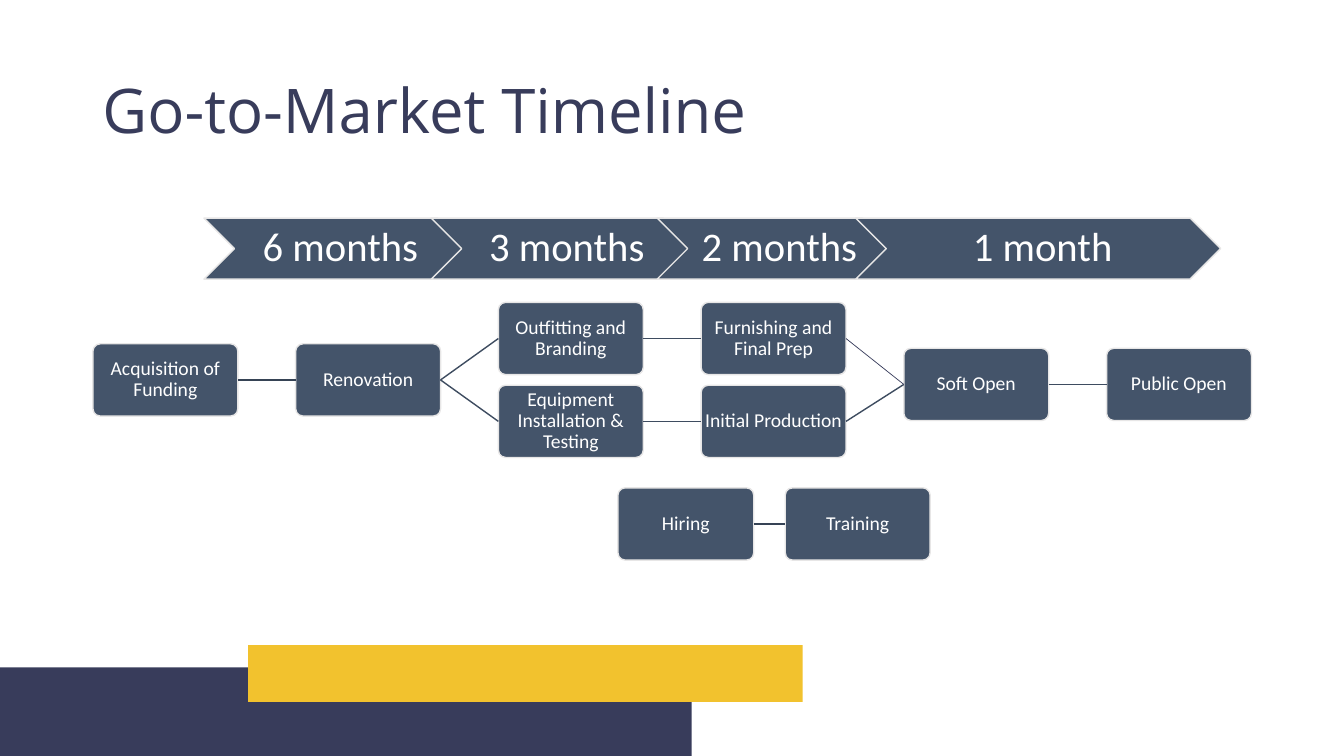
from lxml.etree import SubElement
from pptx import Presentation
from pptx.dml.color import RGBColor
from pptx.enum.shapes import MSO_CONNECTOR, MSO_SHAPE
from pptx.enum.text import MSO_ANCHOR, PP_ALIGN
from pptx.oxml.ns import qn
from pptx.util import Pt

COLORS = {"navy": "383C5B", "gold": "F2C22E", "slate": "44546A", "edge": "E7E6E6",
          "white": "FFFFFF", "link": "3E4C60", "dark_link": "364355"}


def rgb(name):
    return RGBColor.from_string(COLORS[name])


class TimelineSlide:
    """Holds the styling and the slide that the elements are drawn on."""

    box_width, box_height = 103.5, 51.6
    left, pitch = 66.4, 144.8
    body_font, title_font = "Calibri", "Open Sans"

    def __init__(self, prs):
        self.s = prs.slides.add_slide(prs.slide_layouts[5])

    def add_text(self, tf, text, size, color, font, align):
        tf.vertical_anchor = MSO_ANCHOR.MIDDLE
        p = tf.paragraphs[0]
        p.alignment, p.line_spacing = align, 0.9
        r = p.add_run()
        r.text = text
        r.font.size, r.font.name = Pt(size), font
        r.font.color.rgb = rgb(color)

    def title(self, text, x, y, w, h):
        sp = self.s.shapes.title
        sp.left, sp.top, sp.width, sp.height = Pt(x), Pt(y), Pt(w), Pt(h)
        sp.text_frame.word_wrap = True
        self.add_text(sp.text_frame, text, 44, "navy", self.title_font, PP_ALIGN.LEFT)

    def shape(self, kind, x, y, w, h, fill, line=None):
        sp = self.s.shapes.add_shape(kind, Pt(x), Pt(y), Pt(w), Pt(h))
        sp.shadow.inherit = False
        sp.fill.solid()
        sp.fill.fore_color.rgb = rgb(fill)
        if line:
            sp.line.color.rgb = rgb(line)
            sp.line.width = Pt(1)
        else:
            sp.line.fill.background()
        return sp

    def label(self, sp, text, size, left_inset, inset, wrap):
        tf = sp.text_frame
        tf.word_wrap = wrap
        tf.margin_left = Pt(left_inset)
        tf.margin_right = tf.margin_top = tf.margin_bottom = Pt(inset)
        self.add_text(tf, text, size, "white", self.body_font, PP_ALIGN.CENTER)

    def chevron(self, text, x, w):
        sp = self.shape(MSO_SHAPE.CHEVRON, x, 155.8, w, 43.6, "slate", "edge")
        self.label(sp, text, 29, 9.4, 3, False)

    def box(self, text, x, y, w=box_width):
        sp = self.shape(MSO_SHAPE.ROUNDED_RECTANGLE, x, y, w, self.box_height, "slate", "edge")
        sp.adjustments[0] = 0.1
        self.label(sp, text, 14, 0.6, 0.6, True)
        return sp

    def step(self, text, column, y):
        return self.box(text, self.left + column * self.pitch, y)

    def link(self, start, end, color="link", width=1):
        c = self.s.shapes.add_connector(MSO_CONNECTOR.STRAIGHT, 0, 0, 0, 0)
        c.begin_connect(start, 3)
        c.end_connect(end, 1)
        c.line.color.rgb = rgb(color)
        c.line.width = Pt(width)
        SubElement(c._element.spPr, qn("a:effectLst"))


def main():
    prs = Presentation()
    prs.slide_width, prs.slide_height = Pt(960), Pt(540)
    slide = TimelineSlide(prs)
    slide.shape(MSO_SHAPE.RECTANGLE, 0, 476.8, 494, 63.2, "navy")
    slide.shape(MSO_SHAPE.RECTANGLE, 177.3, 460.8, 396, 40.5, "gold")
    slide.title("Go-to-Market Timeline", 66, 28.8, 828, 104.4)

    funding = slide.step("Acquisition of Funding", 0, 245.6)
    renovation = slide.step("Renovation", 1, 245.6)
    outfitting = slide.step("Outfitting and Branding", 2, 216)
    equipment = slide.step("Equipment Installation & Testing", 2, 275.2)
    furnishing = slide.step("Furnishing and Final Prep", 3, 216)
    production = slide.step("Initial Production", 3, 275.2)
    soft_open = slide.step("Soft Open", 4, 248.8)
    public_open = slide.step("Public Open", 5, 248.8)
    hiring = slide.box("Hiring", 441.4, 348.5, 97)
    training = slide.box("Training", 560.9, 348.5)

    for start, end in [(renovation, outfitting), (renovation, equipment),
                       (outfitting, furnishing), (equipment, production),
                       (production, soft_open), (soft_open, public_open)]:
        slide.link(start, end)
    for start, end in [(funding, renovation), (hiring, training)]:
        slide.link(start, end, "dark_link")
    slide.link(furnishing, soft_open, "navy", 0.5)

    for text, x, w in [("6 months", 145.7, 188.6), ("3 months", 308, 187.4),
                       ("2 months", 469.4, 168.4), ("1 month", 611.3, 260.6)]:
        slide.chevron(text, x, w)
    prs.save("out.pptx")


if __name__ == "__main__":
    main()
